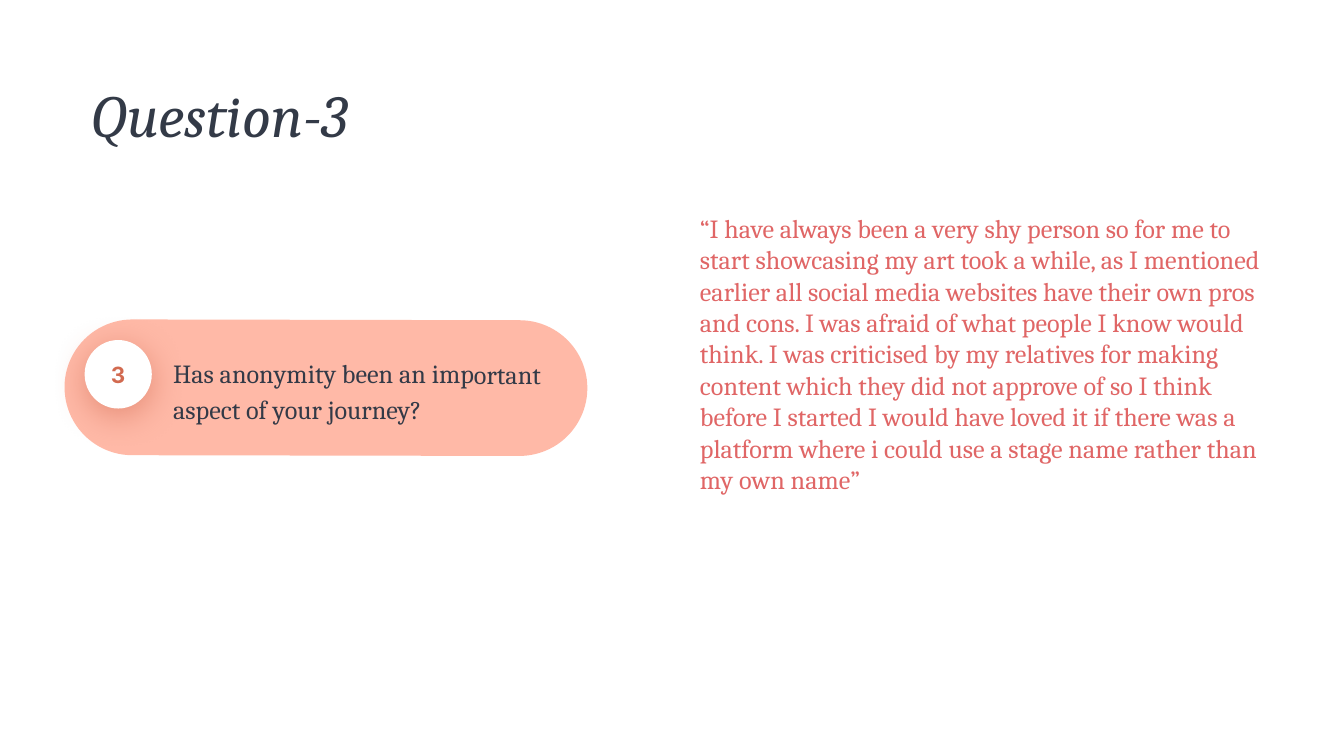
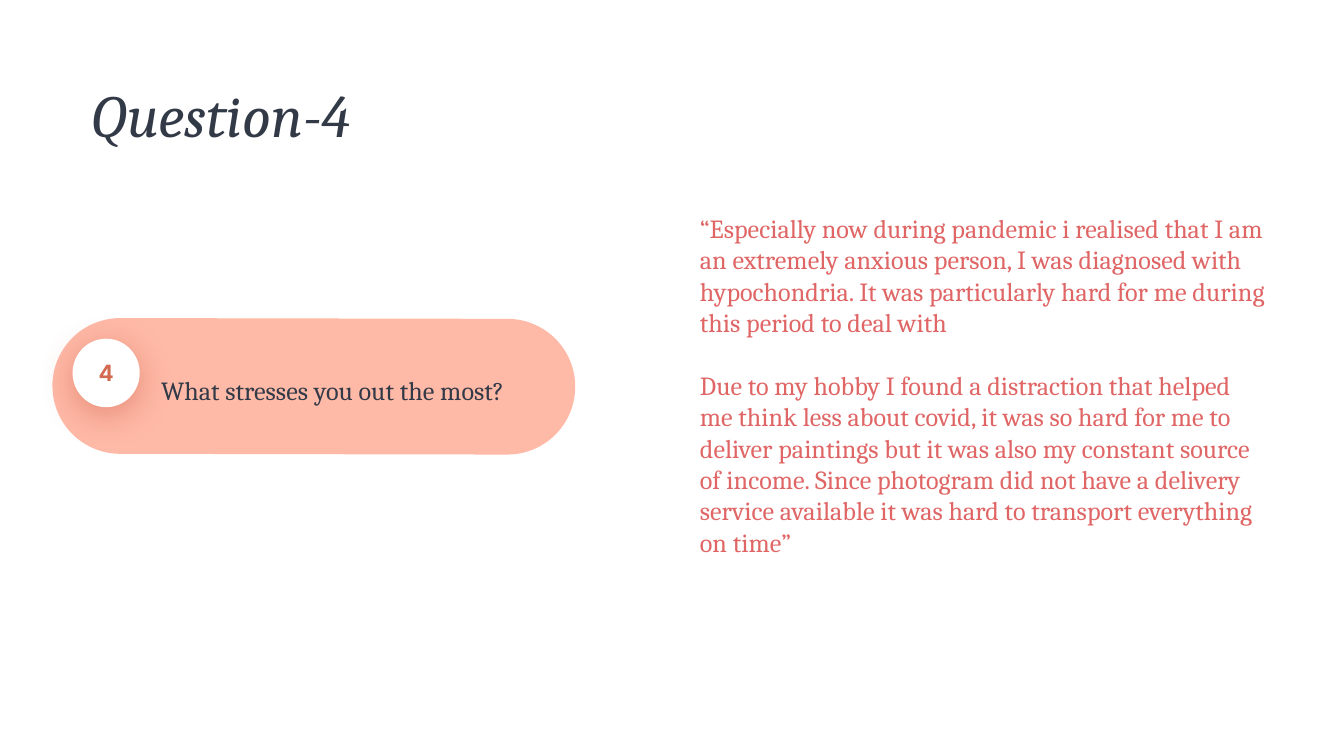
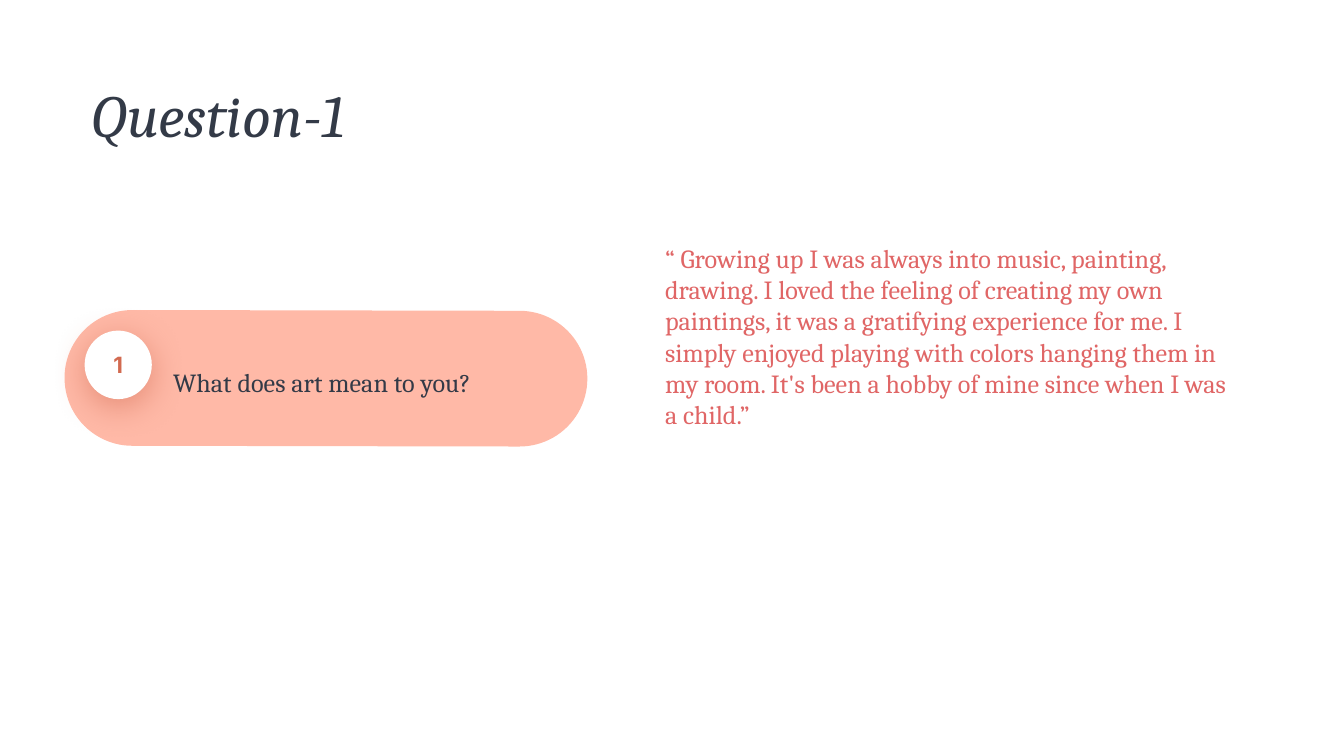
from dataclasses import dataclass

from lxml import etree
from pptx import Presentation
from pptx import util as u
from pptx.dml.color import RGBColor
from pptx.enum import shapes, text
from pptx.oxml.ns import qn
from pptx.shapes.autoshape import Shape
from pptx.shapes.group import GroupShape
from pptx.slide import Slide
from pptx.text.text import TextFrame

# Shared look
COLORS = {
    "page": "FFFFFF",
    "ink": "333A47",
    "pill": "FFB9A7",
    "badge": "FFFFFF",
    "number": "D26A50",
    "quote": "E06666",
}
SERIF = "Cambria"
SANS = "Inter"
TITLE_ONLY = 5
TILT = 0.1  # slight slant of the question card, in degrees
PARAGRAPH_GAP = u.Pt(16.8)


@dataclass(frozen=True)
class Interview:
    number: int
    question: str
    card_at: tuple[float, float]  # left and top of the number badge
    answer: tuple[str, ...]
    answer_at: tuple[float, float]
    answer_height: float


INTERVIEWS = [
    Interview(
        3, "Has anonymity been an important aspect of your journey?", (0.63, 2.53),
        ("“I have always been a very shy person so for me to start showcasing my art "
         "took a while, as I mentioned earlier all social media websites have their own "
         "pros and cons. I was afraid of what people I know would think. I was "
         "criticised by my relatives for making content which they did not approve of "
         "so I think before I started I would have loved it if there was a platform "
         "where i could use a stage name rather than my own name”",),
        (5.11, 1.48), 2.55),
    Interview(
        4, "What stresses you out the most?", (0.54, 2.52),
        ("“Especially now during pandemic i realised that I am an extremely anxious "
         "person, I was diagnosed with hypochondria. It was particularly hard for me "
         "during this period to deal with",
         "Due to my hobby I found a distraction that helped me think less about covid, "
         "it was so hard for me to deliver paintings but it was also my constant source "
         "of income. Since photogram did not have a delivery service available it was "
         "hard to transport everything on time”"),
        (5.11, 1.48), 3.03),
    Interview(
        1, "What does art mean to you?", (0.63, 2.46),
        ("“ Growing up I was always into music, painting, drawing. I loved the feeling "
         "of creating my own paintings, it was a gratifying experience for me. I simply "
         "enjoyed playing with colors hanging them in my room. It's been a hobby of "
         "mine since when I was a child.”",),
        (4.85, 1.7), 1.58),
]


def box(left: float, top: float, width: float, height: float) -> tuple[u.Length, ...]:
    return tuple(u.Inches(length) for length in (left, top, width, height))


def write(frame: TextFrame, paragraphs: tuple[str, ...], color: str, size: int,
          font: str = SERIF, align: text.PP_ALIGN = text.PP_ALIGN.LEFT,
          line_spacing: float = 1.0, margin: float = 0.1, bold: bool = False,
          italic: bool = False,
          anchor: text.MSO_ANCHOR = text.MSO_ANCHOR.MIDDLE) -> None:
    """Fill a text frame with paragraphs of one style."""
    frame.word_wrap = True
    frame.auto_size = text.MSO_AUTO_SIZE.NONE
    frame.vertical_anchor = anchor
    frame.margin_left = frame.margin_right = u.Inches(margin)
    frame.margin_top = frame.margin_bottom = u.Inches(margin)
    for index, content in enumerate(paragraphs):
        paragraph = frame.add_paragraph() if index else frame.paragraphs[0]
        paragraph.text = content
        paragraph.alignment = align
        paragraph.line_spacing = line_spacing
        if index:
            paragraph.space_before = PARAGRAPH_GAP
        paragraph.font.name = font
        paragraph.font.size = u.Pt(size)
        paragraph.font.bold = bold
        paragraph.font.italic = italic
        paragraph.font.color.rgb = RGBColor.from_string(COLORS[color])


def add_filled(group: GroupShape, kind: shapes.MSO_SHAPE,
               place: tuple[u.Length, ...], color: str) -> Shape:
    shape = group.shapes.add_shape(kind, *place)
    shape.shadow.inherit = False
    shape.fill.solid()
    shape.fill.fore_color.rgb = RGBColor.from_string(COLORS[color])
    shape.line.fill.background()
    return shape


def drop_shadow(shape: Shape, color: str) -> None:
    """Cast a soft shadow straight down."""
    effects = shape.element.spPr.find(qn("a:effectLst"))
    shadow = etree.SubElement(
        effects, qn("a:outerShdw"), blurRad=str(u.Pt(18)), dist=str(u.Pt(4)),
        dir="5400000", algn="t", rotWithShape="0")
    tint = etree.SubElement(shadow, qn("a:srgbClr"), val=COLORS[color])
    etree.SubElement(tint, qn("a:alpha"), val="55000")


def add_title(slide: Slide, content: str) -> None:
    title = slide.shapes.title
    title.left, title.top, title.width, title.height = box(0.67, 0.64, 4.49, 0.48)
    write(title.text_frame, (content,), "ink", 32, line_spacing=0.9, margin=0,
          italic=True)


def add_question_card(slide: Slide, interview: Interview) -> None:
    left, top = interview.card_at
    card = slide.shapes.add_group_shape()

    # The pill stands upright and is turned onto its side
    pill = add_filled(card, shapes.MSO_SHAPE.ROUNDED_RECTANGLE,
                      box(left + 1.29, top - 1.59, 1.01, 3.89), "pill")
    pill.adjustments[0] = 0.5
    pill.rotation = 90 + TILT

    badge = add_filled(card, shapes.MSO_SHAPE.OVAL, box(left, top, 0.5, 0.51), "badge")
    drop_shadow(badge, "number")
    write(badge.text_frame, (str(interview.number),), "number", 12, font=SANS,
          align=text.PP_ALIGN.CENTER, bold=True)

    question = card.shapes.add_textbox(*box(left + 0.56, top + 0.03, 3.07, 0.67))
    question.rotation = TILT
    write(question.text_frame, (interview.question,), "ink", 14, line_spacing=1.15)


def add_answer(slide: Slide, interview: Interview) -> None:
    answer = slide.shapes.add_textbox(
        *box(*interview.answer_at, 4.43, interview.answer_height))
    write(answer.text_frame, interview.answer, "quote", 14, anchor=text.MSO_ANCHOR.TOP)
    answer.text_frame.auto_size = text.MSO_AUTO_SIZE.SHAPE_TO_FIT_TEXT


def main() -> None:
    deck = Presentation()
    deck.slide_width = u.Inches(10)
    deck.slide_height = u.Inches(10) * 9 // 16  # widescreen
    background = deck.slide_master.background.fill
    background.solid()
    background.fore_color.rgb = RGBColor.from_string(COLORS["page"])

    for interview in INTERVIEWS:
        slide = deck.slides.add_slide(deck.slide_layouts[TITLE_ONLY])
        add_title(slide, f"Question-{interview.number}")
        add_question_card(slide, interview)
        add_answer(slide, interview)
    deck.save("out.pptx")


if __name__ == "__main__":
    main()
